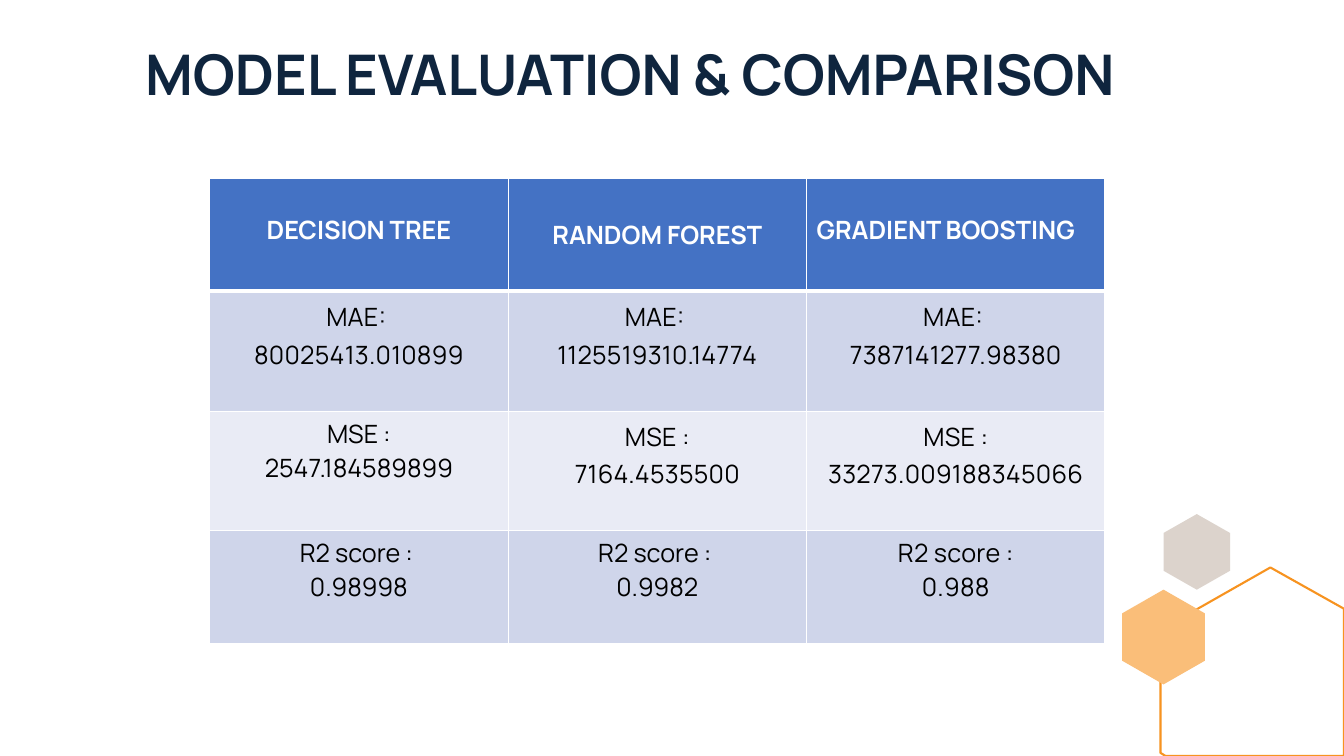
from lxml import etree
from pptx import Presentation, util as u
from pptx.dml.color import RGBColor
from pptx.enum import text
from pptx.oxml import ns

# Content
TITLE = "MODEL EVALUATION & COMPARISON"
ROWS = [
    [("DECISION TREE",), ("RANDOM FOREST",), ("GRADIENT BOOSTING",)],
    [("MAE: ", "80025413.010899"), ("MAE: ", "1125519310.14774"), ("MAE: ", "7387141277.98380")],
    [("MSE :", "2547.184589899"), ("MSE :", "7164.4535500"), ("MSE :", "33273.009188345066")],
    [("R2 score : ", "0.98998"), ("R2 score : ", "0.9982"), ("R2 score :", "0.988")],
]
COLORS = {
    "title": "0F253E", "header": "4472C4", "band": "CFD5EA", "light": "E9EBF5",
    "white": "FFFFFF", "black": "000000",
    "gray": "DCD3CC", "peach": "FABE79", "orange": "F79320",
}
FONT = "Manrope"

# Layout, in inches
WIDTH, HEIGHT = 13.33, 7.5
TITLE_BOX = (1.36, 0.47, 13.2, 1.75)
TABLE_LEFT, TABLE_TOP, COLUMN = 2.08, 1.77, 2.96
ROW_HEIGHTS = [1.12, 1.19, 1.18, 1.13]
ROW_FILLS = ["header", "band", "light", "band"]
HEADER_MARGINS = [0.34, 0.39, 0.34]
LOOSE_CELLS = {(1, 0), (1, 1), (1, 2), (2, 1), (2, 2)}
SPACED_CELLS = LOOSE_CELLS | {(3, 2)}
HEXAGON = [(0.5, 0), (1, 0.25), (1, 0.75), (0.5, 1), (0, 0.75), (0, 0.25)]
HOUSE = [(12.6, 5.63), (13.33, 6.04), (13.33, 7.5), (11.56, 7.5), (11.51, 7.47), (11.51, 6.25)]


def color(name):
    return RGBColor.from_string(COLORS[name])


def apply(target, values):
    for name, value in values.items():
        setattr(target, name, value)


def write(para, words, size, ink, bold):
    span = para.add_run()
    span.text = words
    apply(span.font, {"name": FONT, "size": u.Pt(size), "bold": bold})
    span.font.color.rgb = color(ink)
    return span


def outline(page, points, fill=None, line=None):
    corners = [(u.Inches(x), u.Inches(y)) for x, y in points]
    builder = page.shapes.build_freeform(*corners[0])
    builder.add_line_segments(corners[1:], close=True)
    shape = builder.convert_to_shape()
    shape.shadow.inherit = False
    if fill:
        shape.fill.solid()
        shape.fill.fore_color.rgb = color(fill)
    else:
        shape.fill.background()
    if line:
        shape.line.color.rgb = color(line)
        shape.line.width = u.Pt(1.5)
    else:
        shape.line.fill.background()


def hexagon(page, left, top, width, height, fill):
    outline(page, [(left + x * width, top + y * height) for x, y in HEXAGON], fill)


def add_borders(cell, widths):
    props = cell._tc.get_or_add_tcPr()
    for index, (side, width) in enumerate(widths.items()):
        edge = etree.Element(ns.qn("a:ln" + side), w=str(u.Pt(width)))
        fill = etree.SubElement(edge, ns.qn("a:solidFill"))
        etree.SubElement(fill, ns.qn("a:srgbClr"), val=COLORS["white"])
        props.insert(index, edge)


def fill_cell(cell, row, col, lines):
    header = row == 0
    cell.fill.solid()
    cell.fill.fore_color.rgb = color(ROW_FILLS[row])
    apply(cell, {
        "margin_left": u.Inches(0.1), "margin_right": u.Inches(0.1),
        "margin_top": u.Inches(HEADER_MARGINS[col] if header else 0.05),
        "margin_bottom": u.Inches(0.05),
        "vertical_anchor": text.MSO_ANCHOR.TOP,
    })
    frame = cell.text_frame
    for index, words in enumerate(lines):
        para = frame.add_paragraph() if index else frame.paragraphs[0]
        left = header and col == 2
        para.alignment = text.PP_ALIGN.LEFT if left else text.PP_ALIGN.CENTER
        if (row, col) in LOOSE_CELLS:
            para.line_spacing = u.Pt(26.9)
        span = write(para, words, 18, "white" if header else "black", header)
        if (row, col) in SPACED_CELLS:
            span.font._element.set("spc", "20")
    add_borders(cell, {"L": 1, "R": 1, "T": 3 if row == 1 else 1, "B": 3 if header else 1})


def main():
    deck = Presentation()
    apply(deck, {"slide_width": u.Inches(WIDTH), "slide_height": u.Inches(HEIGHT)})
    page = deck.slides.add_slide(deck.slide_layouts[5])

    # Corner decoration
    hexagon(page, 11.54, 5.1, 0.66, 0.75, "gray")
    outline(page, HOUSE, line="orange")
    hexagon(page, 11.13, 5.85, 0.82, 0.94, "peach")

    # Title
    title = page.shapes.title
    apply(title, dict(zip(("left", "top", "width", "height"), map(u.Inches, TITLE_BOX))))
    apply(title.text_frame, {
        "margin_left": u.Inches(0.08), "margin_top": 0, "word_wrap": True,
        "vertical_anchor": text.MSO_ANCHOR.TOP, "auto_size": text.MSO_AUTO_SIZE.NONE,
    })
    para = title.text_frame.paragraphs[0]
    apply(para, {"alignment": text.PP_ALIGN.LEFT, "line_spacing": 0.9})
    write(para, TITLE, 40, "title", True)

    # Table of scores
    columns = len(ROWS[0])
    table = page.shapes.add_table(
        len(ROWS), columns, u.Inches(TABLE_LEFT), u.Inches(TABLE_TOP),
        u.Inches(COLUMN * columns), u.Inches(sum(ROW_HEIGHTS))).table
    for column in table.columns:
        column.width = u.Inches(COLUMN)
    for row, cells in enumerate(ROWS):
        table.rows[row].height = u.Inches(ROW_HEIGHTS[row])
        for col, lines in enumerate(cells):
            fill_cell(table.cell(row, col), row, col, lines)

    deck.save("out.pptx")


if __name__ == "__main__":
    main()
